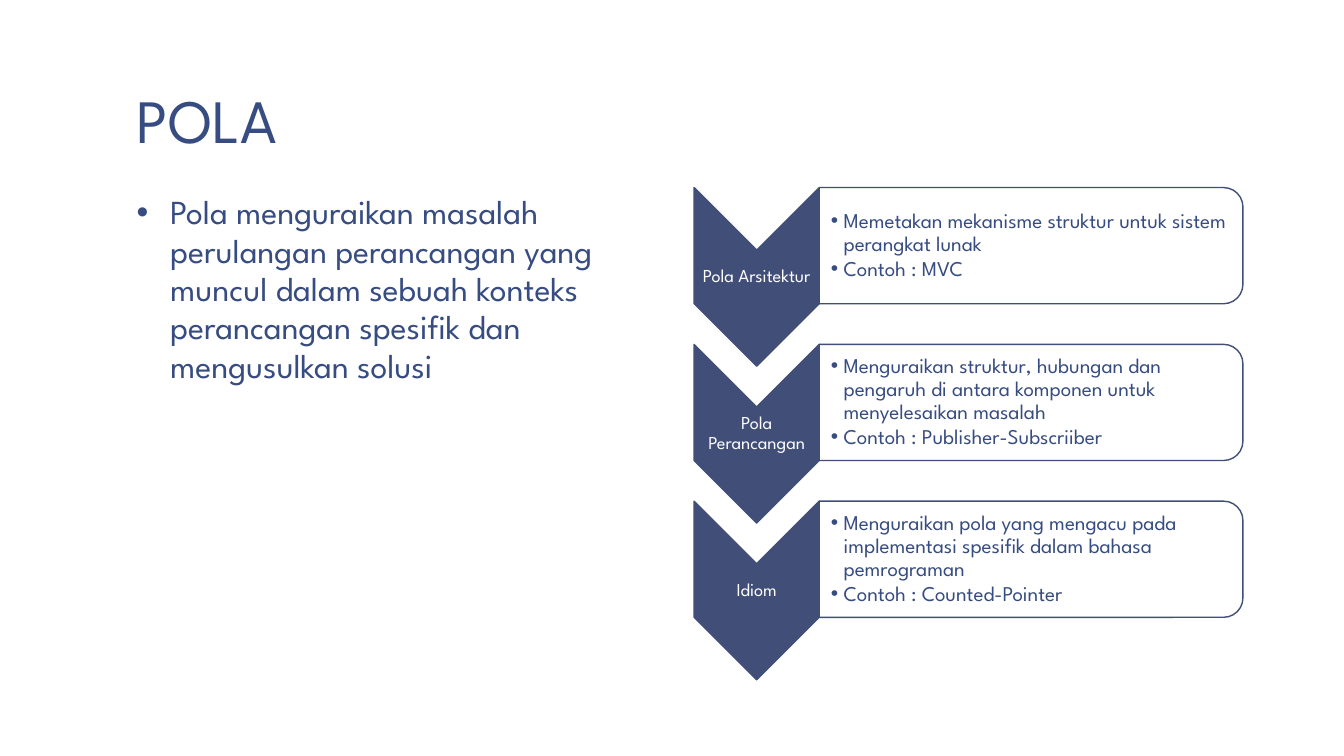
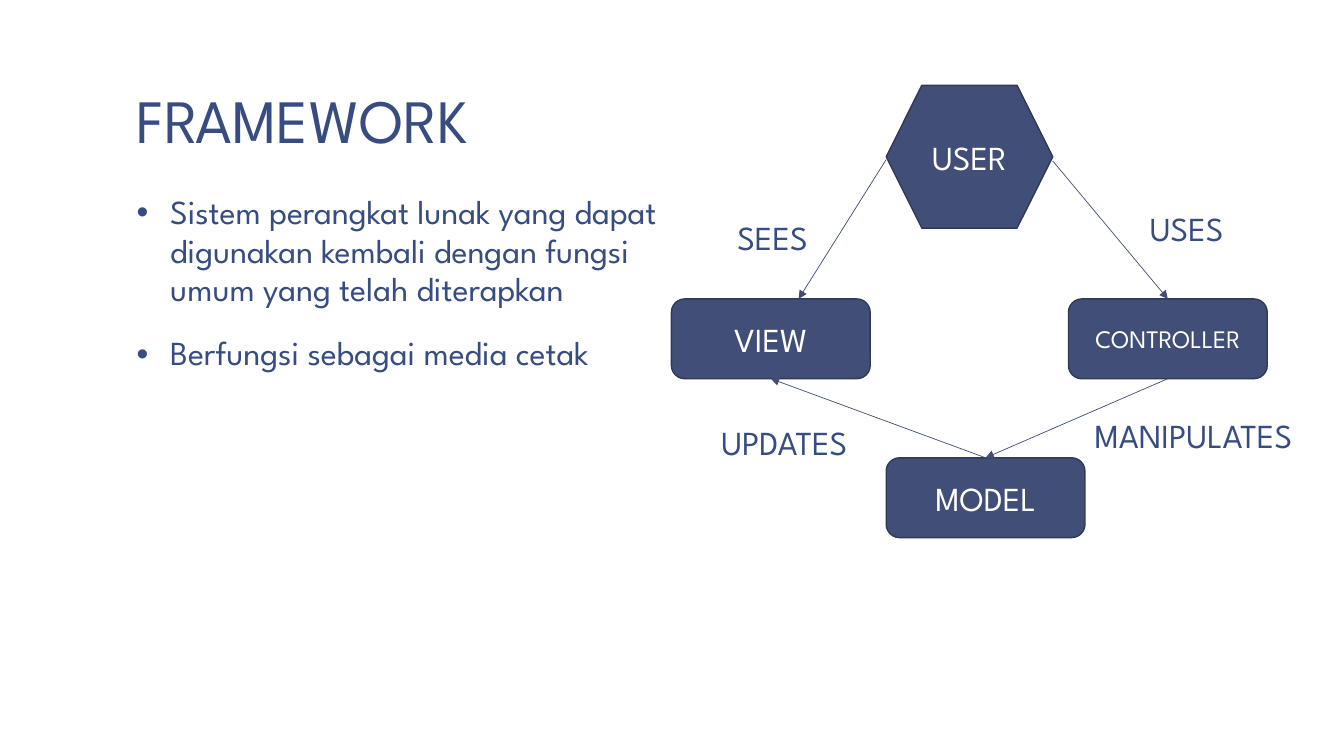
from dataclasses import dataclass

from lxml.etree import SubElement
from pptx import Presentation
from pptx.dml.color import RGBColor
from pptx.enum.shapes import MSO_CONNECTOR, MSO_SHAPE
from pptx.enum.text import MSO_ANCHOR, PP_ALIGN
from pptx.oxml.ns import qn
from pptx.util import Pt


@dataclass(frozen=True)
class Theme:
    font: str = "League Spartan"
    ink: RGBColor = RGBColor(0x37, 0x4C, 0x81)
    accent: RGBColor = RGBColor(0x41, 0x4E, 0x77)
    edge: RGBColor = RGBColor(0x30, 0x3A, 0x58)
    white: RGBColor = RGBColor(0xFF, 0xFF, 0xFF)
    title_size: int = 44
    body_size: int = 24
    small_node_size: int = 18
    panel_size: int = 15
    step_size: int = 13


THEME = Theme()

PATTERNS = [
    ("Pola Arsitektur",
     ["Memetakan mekanisme struktur untuk sistem perangkat lunak",
      "Contoh : MVC"]),
    ("Pola Perancangan",
     ["Menguraikan struktur, hubungan dan pengaruh di antara komponen "
      "untuk menyelesaikan masalah",
      "Contoh : Publisher-Subscriiber"]),
    ("Idiom",
     ["Menguraikan pola yang mengacu pada implementasi spesifik "
      "dalam bahasa pemrograman",
      "Contoh : Counted-Pointer"]),
]


# Text
def style_paragraph(paragraph, size, color, align=PP_ALIGN.LEFT, spacing=1.0):
    paragraph.alignment = align
    paragraph.line_spacing = spacing
    paragraph.font.name = THEME.font
    paragraph.font.size = Pt(size)
    paragraph.font.color.rgb = color


def add_bullet(paragraph, indent):
    properties = paragraph._p.get_or_add_pPr()
    properties.set("marL", str(Pt(indent)))
    properties.set("indent", str(-Pt(indent)))
    SubElement(properties, qn("a:buFont")).set("typeface", "Arial")
    SubElement(properties, qn("a:buChar")).set("char", "•")


def add_text(slide, box, lines, size, color=THEME.ink, align=PP_ALIGN.LEFT,
             anchor=MSO_ANCHOR.TOP, margins=(7.2, 3.6, 7.2, 3.6), spacing=1.0,
             bullet_indent=0, before=0, after=0, wrap=True):
    frame = slide.shapes.add_textbox(*map(Pt, box)).text_frame
    frame.word_wrap = wrap
    frame.vertical_anchor = anchor
    (frame.margin_left, frame.margin_top,
     frame.margin_right, frame.margin_bottom) = map(Pt, margins)
    frame.text = "\n".join(lines)
    for paragraph in frame.paragraphs:
        if bullet_indent:
            add_bullet(paragraph, bullet_indent)
        paragraph.space_before = Pt(before)
        paragraph.space_after = Pt(after)
        style_paragraph(paragraph, size, color, align, spacing)


# Shapes and lines
def add_box(slide, kind, box, fill, line):
    shape = slide.shapes.add_shape(kind, *map(Pt, box))
    shape.shadow.inherit = False
    shape.fill.solid()
    shape.fill.fore_color.rgb = fill
    shape.line.color.rgb = line
    shape.line.width = Pt(1)
    return shape


def add_turned_box(slide, kind, center_x, center_y, length, breadth, fill):
    """Add a shape turned a quarter clockwise about its centre."""
    box = (center_x - length / 2, center_y - breadth / 2, length, breadth)
    add_box(slide, kind, box, fill, THEME.accent).rotation = 90


def add_node(slide, kind, box, text, size=THEME.body_size):
    shape = add_box(slide, kind, box, THEME.accent, THEME.edge)
    frame = shape.text_frame
    frame.vertical_anchor = MSO_ANCHOR.MIDDLE
    frame.text = text
    style_paragraph(frame.paragraphs[0], size, THEME.white, PP_ALIGN.CENTER)
    return shape


def add_arrow(slide, start=(0, 0), end=(0, 0), source=None, target=None):
    """Draw an arrow; source and target are (shape, side) joins."""
    arrow = slide.shapes.add_connector(
        MSO_CONNECTOR.STRAIGHT, *map(Pt, (*start, *end)))
    if source:
        arrow.begin_connect(*source)
    if target:
        arrow.end_connect(*target)
    arrow.line.color.rgb = THEME.accent
    arrow.line.width = Pt(0.5)
    SubElement(arrow.line._get_or_add_ln(), qn("a:tailEnd")).set("type", "triangle")
    SubElement(arrow._element.spPr, qn("a:effectLst"))


# Slide parts
def add_content_slide(presentation, title, points):
    slide = presentation.slides.add_slide(presentation.slide_layouts[6])
    margins = (9.6, 4.8, 9.6, 4.8)
    add_text(slide, (88, 6, 800, 110), [title], THEME.title_size,
             anchor=MSO_ANCHOR.BOTTOM, margins=margins, spacing=0.85)
    add_text(slide, (88, 134, 392, 352), points, THEME.body_size,
             margins=margins, spacing=0.95, bullet_indent=24, before=18.7)
    return slide


def add_pattern_row(slide, top, name, details):
    left, step_width, step_height = 495.8, 89.4, 127.6
    panel_left, panel_width, panel_height = left + step_width, 302.6, 83
    step_middle = top + step_height / 2
    panel_middle = top + panel_height / 2

    # Chevron and its name
    add_turned_box(slide, MSO_SHAPE.CHEVRON, left + step_width / 2, step_middle,
                   step_height, step_width, THEME.accent)
    add_text(slide, (left, step_middle - 19, step_width, 38), [name],
             THEME.step_size, THEME.white, PP_ALIGN.CENTER, MSO_ANCHOR.MIDDLE,
             margins=(0.6,) * 4, spacing=0.9)

    # Panel rounded on the right, and its details
    add_turned_box(slide, MSO_SHAPE.ROUND_2_SAME_RECTANGLE,
                   panel_left + panel_width / 2, panel_middle,
                   panel_height, panel_width, THEME.white)
    add_text(slide, (panel_left, panel_middle - 37.5, panel_width - 4, 75),
             details, THEME.panel_size, anchor=MSO_ANCHOR.MIDDLE,
             margins=(8.4, 0.6, 0.6, 0.6), spacing=0.9, bullet_indent=9, after=2)


def build_pattern_slide(presentation):
    slide = add_content_slide(presentation, "POLA", [
        "Pola menguraikan masalah perulangan perancangan yang muncul dalam "
        "sebuah konteks perancangan spesifik dan mengusulkan solusi"])
    for row, (name, details) in enumerate(PATTERNS):
        add_pattern_row(slide, 134 + 112 * row, name, details)


def build_framework_slide(presentation):
    slide = add_content_slide(presentation, "FRAMEWORK", [
        "Sistem perangkat lunak yang dapat digunakan kembali dengan fungsi "
        "umum yang telah diterapkan",
        "Berfungsi sebagai media cetak"])

    # Nodes
    node_size = (142, 57)
    rounded = MSO_SHAPE.ROUNDED_RECTANGLE
    add_node(slide, MSO_SHAPE.HEXAGON, (633, 61, 119, 102), "USER")
    view = add_node(slide, rounded, (479.6, 213.5, *node_size), "VIEW")
    controller = add_node(slide, rounded, (763.2, 213.5, *node_size),
                          "CONTROLLER", THEME.small_node_size)
    model = add_node(slide, rounded, (633, 327, *node_size), "MODEL")

    # Arrows
    top, bottom = 0, 2
    add_arrow(slide, start=(633, 114), end=(570.5, 213.5))
    add_arrow(slide, start=(752, 115), target=(controller, top))
    add_arrow(slide, source=(controller, bottom), target=(model, top))
    add_arrow(slide, source=(model, top), target=(view, bottom))

    # Arrow labels
    for left, label_top, width, text in [
            (519.6, 151.5, 65, "SEES"), (814.3, 145, 68, "USES"),
            (508.2, 298, 116, "UPDATES"), (774.7, 293, 173, "MANIPULATES")]:
        add_text(slide, (left, label_top, width, 36), [text],
                 THEME.body_size, wrap=False)


def main():
    presentation = Presentation()
    presentation.slide_width = Pt(960)
    presentation.slide_height = Pt(540)
    build_pattern_slide(presentation)
    build_framework_slide(presentation)
    presentation.save("out.pptx")


if __name__ == "__main__":
    main()
